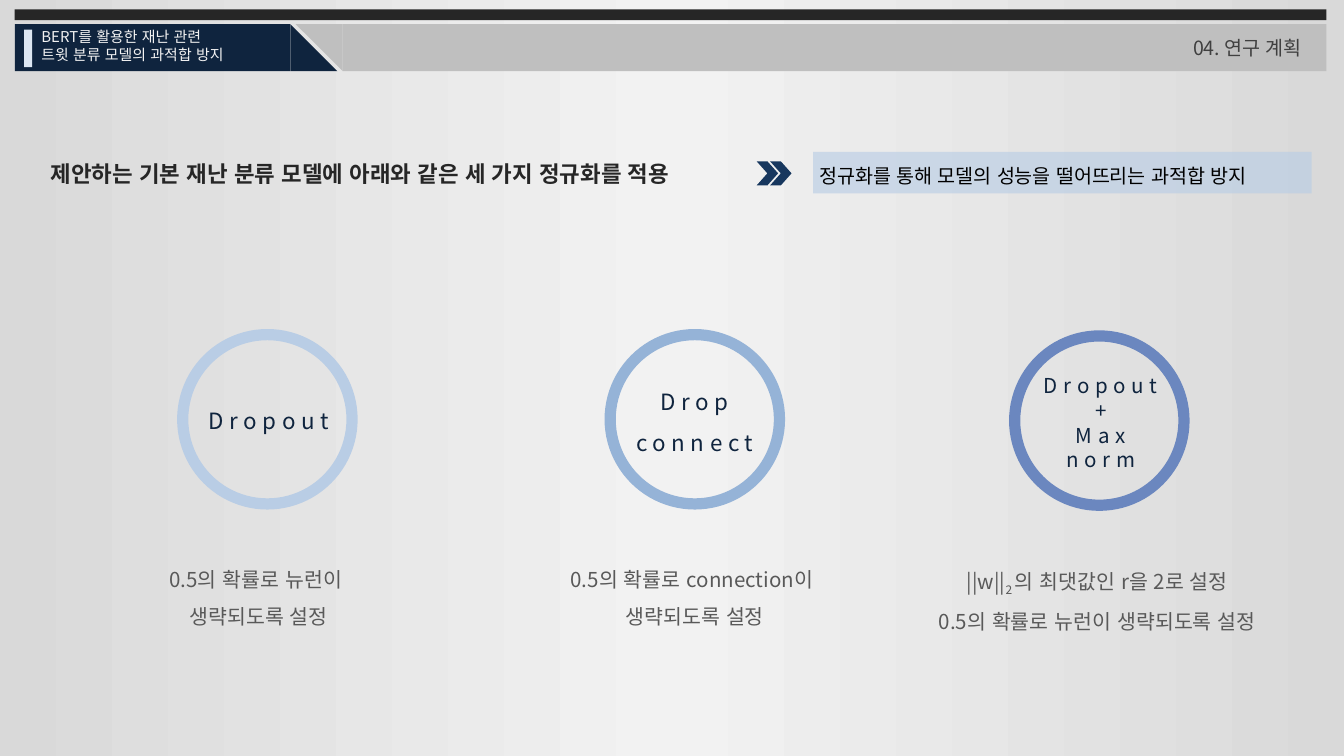
from pptx import Presentation
from pptx.dml.color import RGBColor
from pptx.enum.lang import MSO_LANGUAGE_ID as LANGUAGE
from pptx.enum.shapes import MSO_SHAPE as SHAPE
from pptx.enum.text import MSO_AUTO_SIZE as AUTO, PP_ALIGN as ALIGN
from pptx.oxml import parse_xml
from pptx.oxml.ns import nsdecls
from pptx.util import Inches, Pt

FONT = "Noto Sans CJK KR"
BLACK = RGBColor(0x00, 0x00, 0x00)
CHARCOAL = RGBColor(0x26, 0x26, 0x26)
DARK_GRAY = RGBColor(0x40, 0x40, 0x40)
TEXT_GRAY = RGBColor(0x59, 0x59, 0x59)
BAND_GRAY = RGBColor(0xBF, 0xBF, 0xBF)
EDGE_GRAY = RGBColor(0xD9, 0xD9, 0xD9)
OFF_WHITE = RGBColor(0xF2, 0xF2, 0xF2)
NAVY = RGBColor(0x0F, 0x24, 0x3E)
ARROW_BLUE = RGBColor(0x17, 0x37, 0x5E)
MARK_BLUE = RGBColor(0xDC, 0xE6, 0xF2)
LIGHT_BLUE = RGBColor(0xB9, 0xCD, 0xE5)
MID_BLUE = RGBColor(0x95, 0xB3, 0xD7)
DEEP_BLUE = RGBColor(0x6B, 0x87, 0xBF)

# Content: a paragraph is a string, or a list of (text, format) runs
COURSE = ["BERT를 활용한 재난 관련", "트윗 분류 모델의 과적합 방지"]
SECTION = ["04. 연구 계획"]
HEADLINE = ["제안하는 기본 재난 분류 모델에 아래와 같은 세 가지 정규화를 적용"]
GOAL = ["정규화를 통해 모델의 성능을 떨어뜨리는 과적합 방지"]
NORM_RULE = [("||w||", {"outline": None}),
             ("2 ", {"outline": None, "baseline": -25000}),
             ("의 최댓값인 r을 2로 설정", {})]
METHODS = [
    dict(ring=(1.36, 2.49), color=LIGHT_BLUE, name=["Dropout"],
         name_box=(1.36, 2.88, 1.28, 0.36), size=12, spacing=1.5,
         detail=["0.5의 확률로 뉴런이 ", "생략되도록 설정"],
         detail_box=(0.51, 4.08, 2.83, 0.62)),
    dict(ring=(4.54, 2.49), color=MID_BLUE, name=["Drop", "connect"],
         name_box=(4.53, 2.74, 1.28, 0.71), size=12, spacing=1.5,
         detail=["0.5의 확률로 connection이 ", "생략되도록 설정"],
         detail_box=(3.54, 4.08, 3.26, 0.62)),
    dict(ring=(7.55, 2.5), color=DEEP_BLUE, name=["Dropout", "+", "Max", "norm"],
         name_box=(7.55, 2.73, 1.28, 0.84), size=11, spacing=None,
         detail=[NORM_RULE, "0.5의 확률로 뉴런이 생략되도록 설정"],
         detail_box=(6.43, 4.08, 3.47, 0.62)),
]
RING_SIZE = 1.26
HEADER_TOP, HEADER_HEIGHT = 0.18, 0.35

# Widescreen slide, 16:9
prs = Presentation()
prs.slide_width = Inches(10)
prs.slide_height = Inches(10 * 9 / 16)
slide = prs.slides.add_slide(prs.slide_layouts[6])


def add_shape(kind, box, fill=None, line=None, line_width=6, flip=False, alpha=None):
    shape = slide.shapes.add_shape(kind, *map(Inches, box))
    shape.shadow.inherit = False
    if fill is None:
        shape.fill.background()
    else:
        shape.fill.solid()
        shape.fill.fore_color.rgb = fill
    if line is None:
        shape.line.fill.background()
    else:
        shape.line.color.rgb = line
        shape.line.width = Pt(line_width)
    if flip:
        xfrm = shape._element.spPr.find("{*}xfrm")
        xfrm.set("flipH", "1")
        xfrm.set("flipV", "1")
    if alpha is not None:
        shape._element.spPr.find(".//{*}srgbClr").append(
            parse_xml(f'<a:alpha {nsdecls("a")} val="{alpha * 1000}"/>'))


def add_text(box, paragraphs, size, color, bold=None, align=None, spacing=None,
             tracking=None, outline=None, wrap=True):
    frame = slide.shapes.add_textbox(*map(Inches, box)).text_frame
    frame.word_wrap = wrap
    frame.auto_size = AUTO.SHAPE_TO_FIT_TEXT
    for i, content in enumerate(paragraphs):
        paragraph = frame.paragraphs[0] if i == 0 else frame.add_paragraph()
        paragraph.alignment = align
        paragraph.line_spacing = spacing
        runs = [(content, {})] if isinstance(content, str) else content
        for text, special in runs:
            run = paragraph.add_run()
            run.text = text
            font = run.font
            font.name, font.size, font.bold = FONT, Pt(size), bold
            font.language_id = LANGUAGE.KOREAN
            font.color.rgb = color
            props = font._element
            props.append(parse_xml(f'<a:ea {nsdecls("a")} typeface="{FONT}"/>'))
            if tracking:
                props.set("spc", str(tracking * 100))
            if "baseline" in special:
                props.set("baseline", str(special["baseline"]))
            opacity = special.get("outline", outline)
            if opacity:
                props.insert(0, parse_xml(
                    f'<a:ln {nsdecls("a")} w="9525"><a:solidFill><a:srgbClr val="{color}">'
                    f'<a:alpha val="{opacity * 1000}"/></a:srgbClr></a:solidFill></a:ln>'))


# Background gradient, left to right
stops = "".join(f'<a:gs pos="{pos * 1000}"><a:srgbClr val="{color}"/></a:gs>'
                for pos, color in [(0, EDGE_GRAY), (50, OFF_WHITE), (100, EDGE_GRAY)])
slide.background.fill.gradient()
gradient = slide._element.find(".//{*}bgPr/{*}gradFill")
gradient.getparent().replace(gradient, parse_xml(
    f'<a:gradFill {nsdecls("a")}><a:gsLst>{stops}</a:gsLst>'
    '<a:lin ang="0" scaled="0"/></a:gradFill>'))

# Header
add_shape(SHAPE.RECTANGLE, (0.11, 0.07, 9.76, 0.08), CHARCOAL)
for kind, left, width, color, flip in [
    (SHAPE.RECTANGLE, 0.11, 2.05, NAVY, False),
    (SHAPE.RIGHT_TRIANGLE, 2.16, 0.35, NAVY, False),
    (SHAPE.RECTANGLE, 2.55, 7.32, BAND_GRAY, True),
    (SHAPE.RIGHT_TRIANGLE, 2.2, 0.35, BAND_GRAY, True),
]:
    add_shape(kind, (left, HEADER_TOP, width, HEADER_HEIGHT), color, flip=flip)
add_shape(SHAPE.RECTANGLE, (0.18, 0.22, 0.06, 0.28), MARK_BLUE)
add_text((8.78, 0.22, 2.94, 0.28), SECTION, 10.5, DARK_GRAY, outline=10)
add_text((0.21, 0.16, 1.72, 0.37), COURSE, 8, OFF_WHITE, outline=10)

# Headline, double arrow and goal
add_text((0.28, 1.14, 5.34, 0.3), HEADLINE, 12, CHARCOAL, bold=True, wrap=False)
add_shape(SHAPE.RECTANGLE, (6.05, 1.13, 3.71, 0.31), LIGHT_BLUE, alpha=64)
add_text((6, 1.17, 4.39, 0.28), GOAL, 10.5, BLACK, align=ALIGN.JUSTIFY)
for left in (5.73, 5.63):
    add_shape(SHAPE.CHEVRON, (left, 1.2, 0.16, 0.18), ARROW_BLUE)

# Three regularisation methods
for method in METHODS:
    add_text(method["detail_box"], method["detail"], 11, TEXT_GRAY,
             align=ALIGN.CENTER, spacing=1.5, outline=10)
    add_shape(SHAPE.OVAL, (*method["ring"], RING_SIZE, RING_SIZE), line=method["color"])
    add_text(method["name_box"], method["name"], method["size"], NAVY,
             align=ALIGN.CENTER, spacing=method["spacing"], tracking=3, outline=26)

prs.save("out.pptx")
